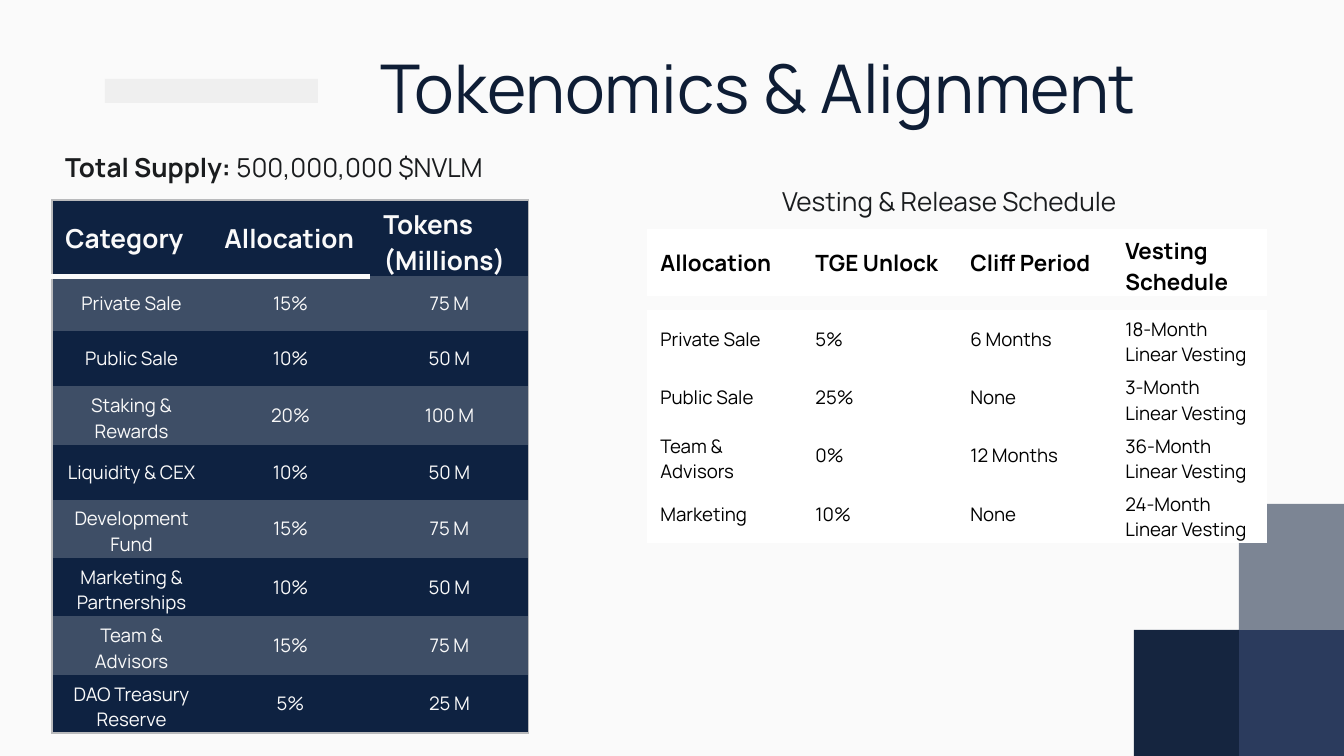
import pptx
import pptx.dml.color
import pptx.enum.shapes
import pptx.enum.text
import pptx.oxml
import pptx.oxml.ns
import pptx.util

SCALE = 914400 / 134.4
FONT = "Manrope"
NO_STYLE = "{2D5ABB26-0587-4C30-8999-92F81FD0307C}"
COLORS = {
    "paper": "FAFAFA", "white": "FFFFFF", "black": "000000", "ink": "1A1C1E",
    "title": "0E1D35", "navy": "0E2241", "stripe": "3E4E66", "rule": "B9BABC",
    "bar": "EFEFEF", "dark": "15253F", "blue": "2B3B5D", "gray": "7C8594",
}
ALLOCATION = [
    ("Category", "Allocation", "Tokens (Millions)"),
    ("Private Sale", "15%", "75 M"),
    ("Public Sale", "10%", "50 M"),
    ("Staking & Rewards", "20%", "100 M"),
    ("Liquidity & CEX", "10%", "50 M"),
    ("Development Fund", "15%", "75 M"),
    ("Marketing & Partnerships", "10%", "50 M"),
    ("Team & Advisors", "15%", "75 M"),
    ("DAO Treasury Reserve", "5%", "25 M"),
]
VESTING_HEADER = [("Allocation", "TGE Unlock", "Cliff Period", "Vesting Schedule")]
VESTING = [
    ("Private Sale", "5%", "6 Months", "18-Month Linear Vesting"),
    ("Public Sale", "25%", "None", "3-Month Linear Vesting"),
    ("Team & Advisors", "0%", "12 Months", "36-Month Linear Vesting"),
    ("Marketing", "10%", "None", "24-Month Linear Vesting"),
]


def px(n):
    return pptx.util.Emu(round(n * SCALE))


def rgb(name):
    return pptx.dml.color.RGBColor.from_string(COLORS[name])


def add_run(p, text, size=10, color="ink", bold=False, center=False):
    if center:
        p.alignment = pptx.enum.text.PP_ALIGN.CENTER
    r = p.add_run()
    r.text = text
    r.font.name = FONT
    r.font.size = pptx.util.Pt(size)
    r.font.bold = bold
    r.font.color.rgb = rgb(color)


def add_rect(s, x, y, w, h, color):
    sp = s.shapes.add_shape(pptx.enum.shapes.MSO_SHAPE.RECTANGLE, px(x), px(y), px(w), px(h))
    sp.shadow.inherit = False
    sp.fill.solid()
    sp.fill.fore_color.rgb = rgb(color)
    sp.line.fill.background()


def add_text(s, x, y, w, h, runs, **fmt):
    """Add one line made of (text, bold) runs."""
    tf = s.shapes.add_textbox(px(x), px(y), px(w), px(h)).text_frame
    tf.word_wrap = True
    for text, bold in runs:
        add_run(tf.paragraphs[0], text, bold=bold, **fmt)


def set_border(cell, side, color, points):
    """Draw one edge; call in the order L, R, T, B and before the cell is filled."""
    cell._tc.get_or_add_tcPr().append(pptx.oxml.parse_xml(
        f'<a:ln{side} {pptx.oxml.ns.nsdecls("a")} w="{pptx.util.Pt(points)}">'
        f'<a:solidFill><a:srgbClr val="{COLORS[color]}"/></a:solidFill></a:ln{side}>'))


def add_table(s, x, y, col_w, row_heights, rows, style):
    """style(row, col) gives the cell's fill, borders and text format."""
    n_cols = len(rows[0])
    table = s.shapes.add_table(len(rows), n_cols, px(x), px(y),
                               px(col_w * n_cols), px(sum(row_heights))).table
    table.first_row = table.horz_banding = False
    table._tbl.tblPr.find(pptx.oxml.ns.qn("a:tableStyleId")).text = NO_STYLE
    for col in table.columns:
        col.width = px(col_w)
    for i, (height, texts) in enumerate(zip(row_heights, rows)):
        table.rows[i].height = px(height)
        for j, text in enumerate(texts):
            cell = table.cell(i, j)
            fill, borders, fmt = style(i, j)
            for border in borders:
                set_border(cell, *border)
            cell.fill.solid()
            cell.fill.fore_color.rgb = rgb(fill)
            cell.vertical_anchor = pptx.enum.text.MSO_ANCHOR.MIDDLE
            add_run(cell.text_frame.paragraphs[0], text, **fmt)


def allocation_style(i, j):
    last_row, last_col = len(ALLOCATION) - 1, len(ALLOCATION[0]) - 1
    edges = [("L", j == 0), ("R", j == last_col), ("T", i == 0), ("B", i == last_row)]
    borders = [(side, "rule", 0.75) for side, outer in edges if outer]
    if i == 0 and j < last_col:
        borders.append(("B", "paper", 3))
    fmt = dict(size=10, color="paper", center=True)
    if i == 0:
        fmt = dict(size=14, color="paper", bold=True)
    return "stripe" if i % 2 else "navy", borders, fmt


def vesting_header_style(i, j):
    return "white", [], dict(size=12, color="black", bold=True)


def vesting_style(i, j):
    return "white", [], dict(size=10, color="black")


def add_corner_blocks(s, x, y, w, h):
    for col, row, color in [(1, 1, "blue"), (1, 0, "gray"), (0, 1, "dark")]:
        add_rect(s, x + col * w, y + row * h, w, h, color)


def add_heading(s, x, y):
    add_rect(s, x, y + 39, 213, 24, "bar")
    add_text(s, x + 262, y, 941, 95, [("Tokenomics & Alignment", False)],
             size=36, color="title")


def add_allocation(s, x, y):
    add_text(s, x, y, 468, 46,
             [("Total Supply:", True), (" 500,000,000 $NVLM", False)], size=14)
    add_table(s, x, y + 55, 159, [55] * len(ALLOCATION), ALLOCATION, allocation_style)


def add_vesting(s, x, y):
    add_text(s, x + 122, y, 376, 46, [("Vesting & Release Schedule", False)], size=14)
    add_table(s, x, y + 50, 155, [66], VESTING_HEADER, vesting_header_style)
    add_table(s, x, y + 131, 155, [51, 31, 51, 51], VESTING, vesting_style)


def main():
    prs = pptx.Presentation()
    prs.slide_width, prs.slide_height = px(1344), px(756)
    s = prs.slides.add_slide(prs.slide_layouts[6])
    s.background.fill.solid()
    s.background.fill.fore_color.rgb = rgb("paper")
    add_corner_blocks(s, 1134, 504, 105, 126)
    add_heading(s, 105, 40)
    add_allocation(s, 52, 145)
    add_vesting(s, 647, 179)
    prs.save("out.pptx")


if __name__ == "__main__":
    main()
